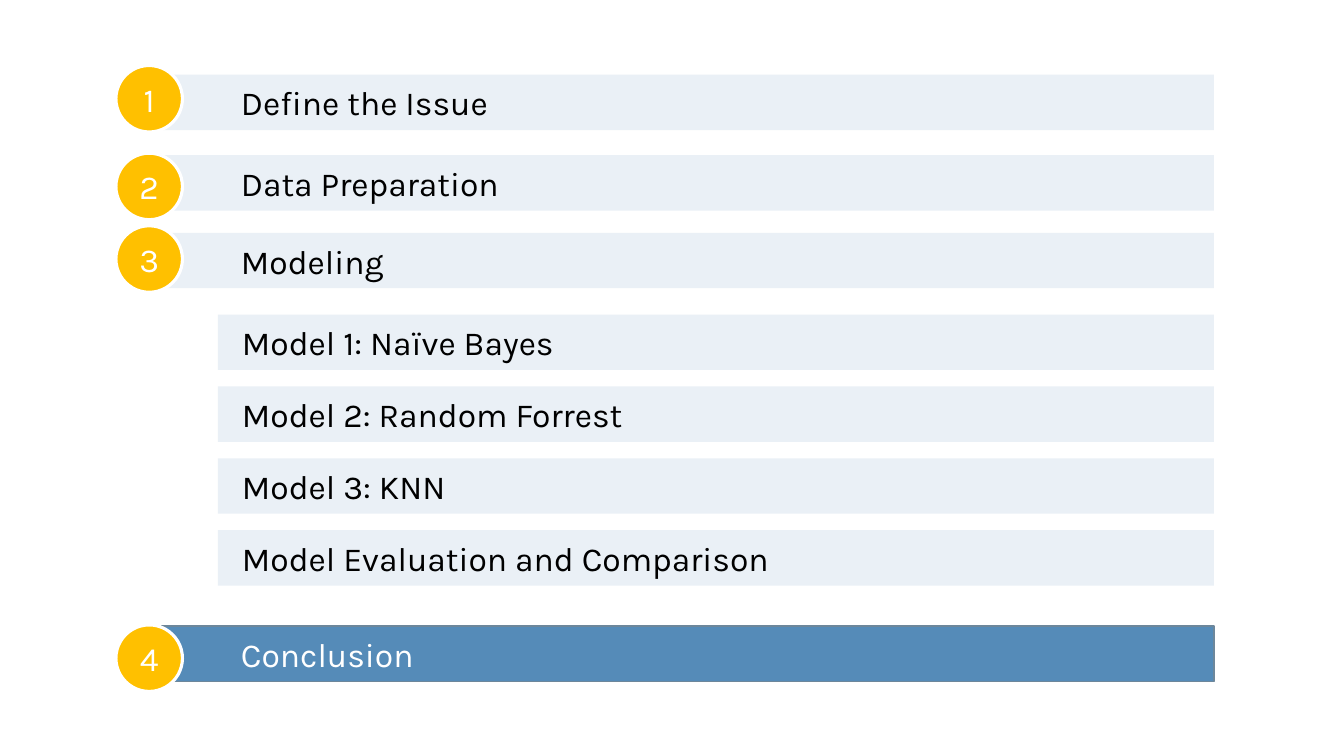
from pptx import Presentation
from pptx import util as u
from pptx.dml.color import RGBColor
from pptx.enum import shapes, text

# Lengths are px, 100 to the inch
PX = 9144
FONT = "Karla"
WHITE = RGBColor(0xFF, 0xFF, 0xFF)
BLACK = RGBColor(0x00, 0x00, 0x00)
PALE = RGBColor(0xEA, 0xF0, 0xF6)
BLUE = RGBColor(0x55, 0x8B, 0xB8)
SLATE = RGBColor(0x6D, 0x87, 0x9B)
GOLD = RGBColor(0xFF, 0xC0, 0x00)

BAR_LEFT, MODEL_LEFT, BAR_RIGHT, BAR_HEIGHT = 160, 216, 1204, 55
BADGE_LEFT, BADGE_SIZE = 115, 66
MODEL_TOP, MODEL_PITCH = 312, 71.33

# Label, bar top, badge top
SECTIONS = [
    ("Define the Issue", 74, 65),
    ("Data Preparation", 154, 152),
    ("Modeling", 231, 224),
    ("Conclusion", 621, 620),
]
MODELS = [
    "Model 1: Naïve Bayes",
    "Model 2: Random Forrest",
    "Model 3: KNN",
    "Model Evaluation and Comparison",
]


def px(length):
    return u.Emu(round(length * PX))


def set_all(target, values):
    for name, value in values.items():
        setattr(target, name, value)


def add_box(page, kind, place, fill, line=None, weight=1):
    box = page.shapes.add_shape(kind, *(px(length) for length in place))
    box.shadow.inherit = False
    box.fill.solid()
    box.fill.fore_color.rgb = fill
    if line is None:
        box.line.fill.background()
    else:
        box.line.color.rgb = line
        box.line.width = u.Pt(weight)
    return box


def write(box, words, color, align, inset=10):
    set_all(box.text_frame, {
        "word_wrap": True,
        "vertical_anchor": text.MSO_ANCHOR.MIDDLE,
        "margin_left": px(inset), "margin_right": px(10),
        "margin_top": px(5), "margin_bottom": px(5),
    })
    para = box.text_frame.paragraphs[0]
    para.alignment = align
    span = para.add_run()
    span.text = words
    set_all(span.font, {"name": FONT, "size": u.Pt(24)})
    span.font.color.rgb = color


def add_bar(page, label, left, top, inset, current=False):
    fill, line, color = (BLUE, SLATE, WHITE) if current else (PALE, None, BLACK)
    place = (left, top, BAR_RIGHT - left, BAR_HEIGHT)
    bar = add_box(page, shapes.MSO_SHAPE.RECTANGLE, place, fill, line)
    write(bar, label, color, text.PP_ALIGN.LEFT, inset)


def add_badge(page, number, top):
    place = (BADGE_LEFT, top, BADGE_SIZE, BADGE_SIZE)
    badge = add_box(page, shapes.MSO_SHAPE.OVAL, place, GOLD, WHITE, 2.25)
    write(badge, str(number), WHITE, text.PP_ALIGN.CENTER)


def main():
    deck = Presentation()
    set_all(deck, {"slide_width": px(1333), "slide_height": px(750)})
    page = deck.slides.add_slide(deck.slide_layouts[6])

    # Numbered sections, the last one being current
    for number, (label, bar_top, badge_top) in enumerate(SECTIONS, 1):
        add_bar(page, label, BAR_LEFT, bar_top, 79, number == len(SECTIONS))
        add_badge(page, number, badge_top)

    # Indented steps of the modeling section
    for index, label in enumerate(MODELS):
        add_bar(page, label, MODEL_LEFT, MODEL_TOP + index * MODEL_PITCH, 24)

    deck.save("out.pptx")


if __name__ == "__main__":
    main()
